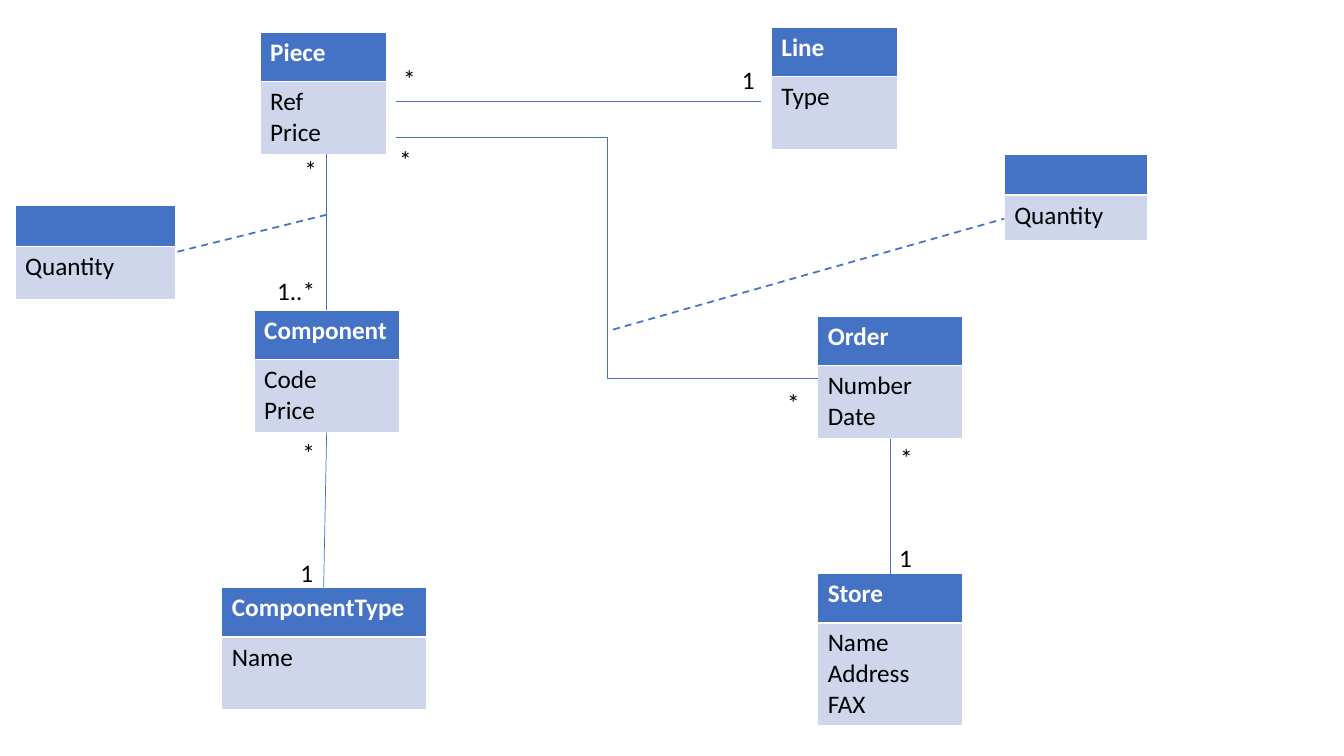
from lxml.etree import SubElement
from pptx import Presentation
from pptx.dml.color import RGBColor
from pptx.enum.dml import MSO_LINE
from pptx.enum.shapes import MSO_CONNECTOR
from pptx.enum.text import MSO_AUTO_SIZE
from pptx.oxml.ns import qn
from pptx.util import Inches, Pt

COLORS = {"blue": "4472C4", "pale": "CFD5EA", "white": "FFFFFF", "black": "000000"}
HEADER, BODY = 0.49, 0.72

# name, attributes, left, top, width, header height, body height
CLASSES = [
    ("", ["Quantity"], 9.96, 1.53, 1.42, 0.4, 0.45),
    ("Piece", ["Ref", "Price"], 2.58, 0.32, 1.25, HEADER, BODY),
    ("Component", ["Code", "Price"], 2.52, 3.08, 1.44, HEADER, BODY),
    ("ComponentType", ["Name"], 2.2, 5.83, 2.03, HEADER, BODY),
    ("Line", ["Type"], 7.65, 0.27, 1.25, HEADER, BODY),
    ("Order", ["Number", "Date"], 8.11, 3.14, 1.44, HEADER, BODY),
    ("Store", ["Name", "Address", "FAX"], 8.11, 5.69, 1.44, HEADER, 1.0),
    ("", ["Quantity"], 0.15, 2.04, 1.59, 0.4, 0.53),
]

# start, end, connector type, dashed
ASSOCIATIONS = [
    ((6.08, 3.27), (9.96, 2.17), MSO_CONNECTOR.STRAIGHT, True),
    ((3.93, 1.01), (7.55, 1.01), MSO_CONNECTOR.STRAIGHT, False),
    ((3.24, 1.53), (3.24, 3.08), MSO_CONNECTOR.STRAIGHT, False),
    ((3.24, 4.29), (3.21, 5.83), MSO_CONNECTOR.STRAIGHT, False),
    ((3.24, 2.13), (1.75, 2.5), MSO_CONNECTOR.STRAIGHT, True),
    ((3.93, 1.36), (8.11, 3.75), MSO_CONNECTOR.ELBOW, False),
    ((8.83, 4.36), (8.83, 5.69), MSO_CONNECTOR.STRAIGHT, False),
]

# text, left, top, width
MULTIPLICITIES = [
    ("*", 2.9, 4.29, 0.33),
    ("*", 3.86, 1.38, 0.33),
    ("*", 2.92, 1.48, 0.33),
    ("*", 3.9, 0.58, 0.33),
    ("*", 7.71, 3.79, 0.33),
    ("*", 8.83, 4.34, 0.33),
    ("1", 7.26, 0.59, 0.33),
    ("1", 2.88, 5.48, 0.33),
    ("1", 8.82, 5.33, 0.33),
    ("1..*", 2.65, 2.68, 0.63),
]


def rgb(name):
    return RGBColor.from_string(COLORS[name])


def write_lines(text_frame, lines, color, bold=False):
    """Write the lines into the first paragraph, parted by line breaks."""
    paragraph = text_frame.paragraphs[0]
    paragraph.font.size = Pt(18)
    for index, line in enumerate(lines):
        if index:
            paragraph.add_line_break()
        run = paragraph.add_run()
        run.text = line
        run.font.name = "Calibri"
        run.font.size = Pt(18)
        run.font.bold = bold
        run.font.color.rgb = rgb(color)


presentation = Presentation()
presentation.slide_width = Inches(13.33)
presentation.slide_height = Inches(7.5)
slide = presentation.slides.add_slide(presentation.slide_layouts[6])
shapes = slide.shapes

for name, attributes, left, top, width, header_height, body_height in CLASSES:
    table = shapes.add_table(
        2, 1, Inches(left), Inches(top), Inches(width), Inches(header_height + body_height)
    ).table
    table.horz_banding = False
    table.rows[0].height = Inches(header_height)
    table.rows[1].height = Inches(body_height)
    header, body = table.cell(0, 0), table.cell(1, 0)
    for cell, color in ((header, "blue"), (body, "pale")):
        cell.fill.solid()
        cell.fill.fore_color.rgb = rgb(color)
    write_lines(header.text_frame, [name] if name else [], "white", bold=True)
    write_lines(body.text_frame, attributes, "black")

for start, end, kind, dashed in ASSOCIATIONS:
    connector = shapes.add_connector(kind, *map(Inches, start + end))
    connector.line.color.rgb = rgb("blue")
    connector.line.width = Pt(1.25 if dashed else 0.5)
    if dashed:
        connector.line.dash_style = MSO_LINE.DASH
    SubElement(connector._element.spPr, qn("a:effectLst"))

for text, left, top, width in MULTIPLICITIES:
    label = shapes.add_textbox(Inches(left), Inches(top), Inches(width), Inches(0.4))
    label.text_frame.word_wrap = True
    label.text_frame.auto_size = MSO_AUTO_SIZE.SHAPE_TO_FIT_TEXT
    write_lines(label.text_frame, [text], "black")

presentation.save("out.pptx")
